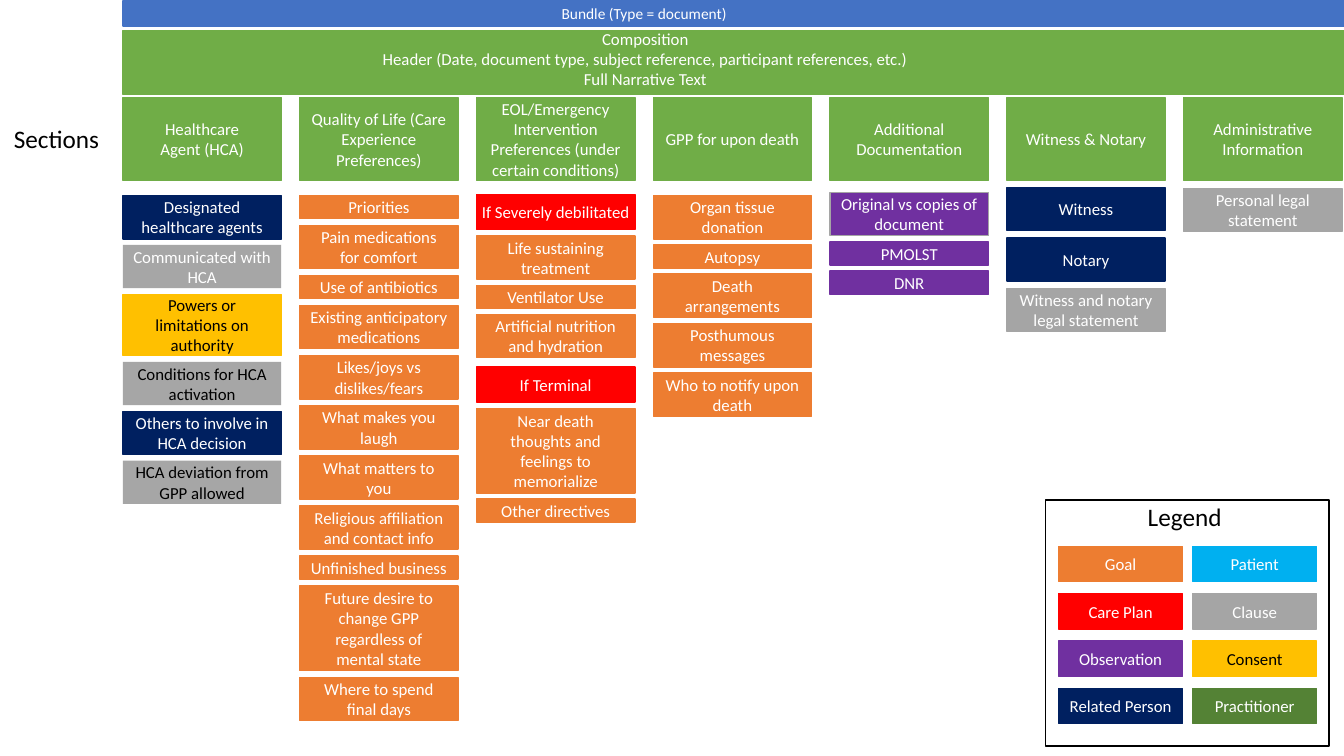
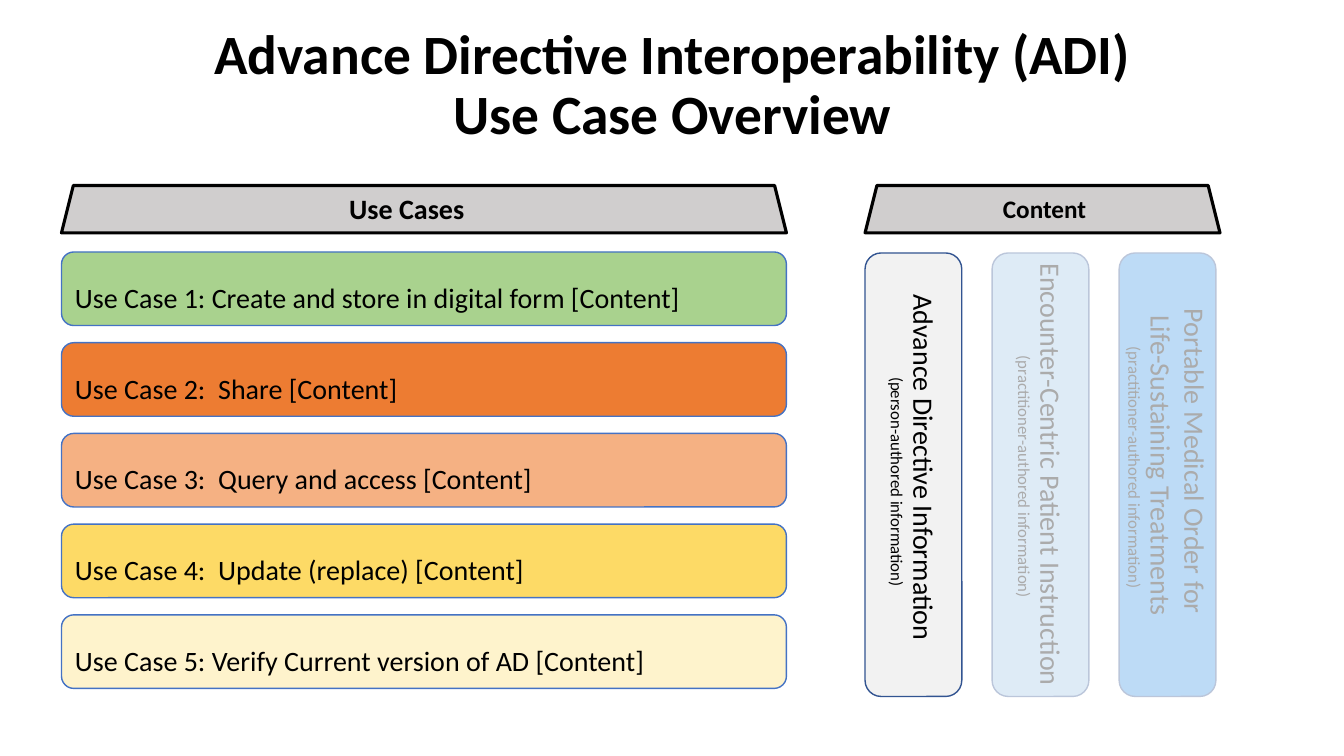
"""Build two slides on advance directives: a document map and a use case overview."""
from lxml import etree
from pptx import Presentation
from pptx.dml.color import RGBColor
from pptx.enum.shapes import MSO_SHAPE
from pptx.enum.text import MSO_ANCHOR, PP_ALIGN
from pptx.oxml.ns import qn
from pptx.util import Inches, Pt

RECT = MSO_SHAPE.RECTANGLE
ROUND = MSO_SHAPE.ROUNDED_RECTANGLE
TRAP = MSO_SHAPE.TRAPEZOID
MID = MSO_ANCHOR.MIDDLE
LEFT, CENTER = PP_ALIGN.LEFT, PP_ALIGN.CENTER

CELL = Inches(1)
COLS, ROWS = 13.33, 7.5


class Theme:
    font = "Calibri"
    small, text, label, body, title = 11, 12, 18, 20, 39.6
    white, black = "FFFFFF", "000000"
    blue, green, edge = "4472C4", "70AD47", "325491"
    band = "D0CECE"
    kinds = {
        "goal": ("ED7D31", "ED7D31", white),
        "plan": ("FF0000", "FF0000", white),
        "seen": ("7030A0", "7030A0", white),
        "copy": ("7030A0", "A5A5A5", white),
        "kin": ("002060", "002060", white),
        "patient": ("00B0F0", "00B0F0", white),
        "clause": ("A5A5A5", "A5A5A5", white),
        "dim": ("A6A6A6", None, white),
        "term": ("A6A6A6", None, black),
        "consent": ("FFC000", "FFC000", black),
        "doctor": ("548235", "548235", white),
        "head": (green, green, white),
    }


def write(shape, text, size=Theme.text, last=None, ink=Theme.black, bold=False,
          align=CENTER, space=None, wrap=True, pad=0.1):
    """Fill a shape with text, one paragraph a line; last sets the final line's size."""
    frame = shape.text_frame
    frame.word_wrap = wrap
    frame.vertical_anchor = MID
    frame.margin_left = frame.margin_right = int(pad * CELL)
    frame.text = text
    for para in frame.paragraphs:
        para.alignment = align
        para.line_spacing = space
        para.font.name = Theme.font
        para.font.size = Pt(size)
        para.font.bold = bold
        para.font.color.rgb = RGBColor.from_string(ink)
    if last:
        para.font.size = Pt(last)
        para.alignment = CENTER


def place(shapes, form, at, fill=None, line=None, width=1):
    """Add a shape, or a text box if form is None, at left, top, width, height in cells."""
    spot = [int(n * CELL) for n in at]
    if form is None:
        return shapes.add_textbox(*spot)
    shape = shapes.add_shape(form, *spot)
    shape.shadow.inherit = False
    if fill:
        shape.fill.solid()
        shape.fill.fore_color.rgb = RGBColor.from_string(fill)
    else:
        shape.fill.background()
    if line:
        shape.line.color.rgb = RGBColor.from_string(line)
        shape.line.width = Pt(width)
    else:
        shape.line.fill.background()
    return shape


deck = Presentation()
deck.slide_width, deck.slide_height = int(COLS * CELL), int(ROWS * CELL)

parts = deck.slides.add_slide(deck.slide_layouts[6]).shapes
start, wide = 1.22, 1.57
pitch = (11.74 - start) / 6
tall = {1: 0.23, 2: 0.43, 3: 0.61, 4: 0.84}

place(parts, RECT, (start, 0.01, COLS - start, 0.25), Theme.blue, Theme.blue)
write(place(parts, None, (5.46, 0, 1.86, 0.27)), "Bundle (Type = document)",
      size=Theme.small, ink=Theme.white, wrap=False)
place(parts, RECT, (start, 0.3, COLS - start, 0.64), Theme.green, Theme.green)
write(place(parts, None, (3.67, 0.23, 5.46, 0.71)),
      "Composition\n"
      "Header (Date, document type, subject reference, participant references, etc.)\n"
      "Full Narrative Text", ink=Theme.white, wrap=False)
write(place(parts, None, (0.03, 1.17, 1.06, 0.4)), "Sections",
      size=Theme.label, wrap=False)

sections = [
    ("Healthcare\nAgent (HCA)", 1.94, 0.06, [
        ("kin", 2, "Designated healthcare agents"),
        ("dim", 2, "Communicated with HCA"),
        ("consent", 3, "Powers or limitations on authority"),
        ("term", 2, "Conditions for HCA activation"),
        ("kin", 2, "Others to involve in HCA decision"),
        ("term", 2, "HCA deviation from GPP allowed")]),
    ("Quality of Life (Care Experience Preferences)", 1.94, 0.067, [
        ("goal", 1, "Priorities"),
        ("goal", 2, "Pain medications for comfort"),
        ("goal", 1, "Use of antibiotics"),
        ("goal", 2, "Existing anticipatory medications"),
        ("goal", 2, "Likes/joys vs dislikes/fears"),
        ("goal", 2, "What makes you laugh"),
        ("goal", 2, "What matters to you"),
        ("goal", 2, "Religious affiliation and contact info"),
        ("goal", 1, "Unfinished business"),
        ("goal", 4, "Future desire to change GPP regardless of mental state"),
        ("goal", 2, "Where to spend final days")]),
    ("EOL/Emergency Intervention Preferences (under certain conditions)", 1.9, 0.06, [
        ("plan", 1, "If Severely debilitated"),
        ("goal", 2, "Life sustaining treatment"),
        ("goal", 1, "Ventilator Use"),
        ("goal", 2, "Artificial nutrition and hydration"),
        ("plan", 1, "If Terminal"),
        ("goal", 4, "Near death thoughts and feelings to memorialize"),
        ("goal", 1, "Other directives")]),
    ("GPP for upon death", 1.94, 0.06, [
        ("goal", 2, "Organ tissue donation"),
        ("goal", 1, "Autopsy"),
        ("goal", 2, "Death arrangements"),
        ("goal", 2, "Posthumous messages"),
        ("goal", 2, "Who to notify upon death")]),
    ("Additional Documentation", 1.91, 0.06, [
        ("copy", 2, "Original vs copies of document"),
        ("seen", 1, "PMOLST"),
        ("seen", 1, "DNR")]),
    ("Witness & Notary", 1.86, 0.07, [
        ("kin", 2, "Witness"),
        ("kin", 2, "Notary"),
        ("clause", 2, "Witness and notary legal statement")]),
    ("Administrative Information", 1.87, 0.06, [
        ("clause", 2, "Personal legal statement")]),
]
for i, (head, top, gap, items) in enumerate(sections):
    left = start + i * pitch
    fill, line, ink = Theme.kinds["head"]
    write(place(parts, RECT, (left, 0.97, wide, 0.82), fill, line), head, ink=ink)
    for kind, rows, text in items:
        fill, line, ink = Theme.kinds[kind]
        plan = kind == "plan"
        high = 0.35 if plan else tall[rows]
        top += 0.03 if plan else 0
        write(place(parts, RECT, (left, top, wide, high), fill, line), text,
              ink=ink, pad=0 if plan else 0.1)
        top += high + gap

legend = parts.add_group_shape().shapes
place(legend, RECT, (10.37, 4.96, 2.81, 2.44), line=Theme.black)
write(place(legend, None, (11.28, 4.92, 0.94, 0.4)), "Legend",
      size=Theme.label, wrap=False)
keys = [("goal", "Goal"), ("patient", "Patient"),
        ("plan", "Care Plan"), ("clause", "Clause"),
        ("seen", "Observation"), ("consent", "Consent"),
        ("kin", "Related Person"), ("doctor", "Practitioner")]
for i, (kind, text) in enumerate(keys):
    row, col = divmod(i, 2)
    fill, line, ink = Theme.kinds[kind]
    key = place(legend, RECT, (10.5 + col * 1.33, 5.42 + row * 0.47, 1.23, 0.35),
                fill, line)
    write(key, text, ink=ink)

parts = deck.slides.add_slide(deck.slide_layouts[5]).shapes
title = parts.title
title.left, title.top, title.width, title.height = [
    int(n * CELL) for n in (0.47, 0.26, 12.4, 1.2)]
write(title, "Advance Directive Interoperability (ADI)\vUse Case Overview",
      size=Theme.title, bold=True, space=0.9)

bands = [("Use Cases", Theme.body, 0.61, 7.19, 2.95, 2.17),
         ("Content", Theme.label, 8.58, 3.52, 9.4, 1.92)]
for text, size, left, span, inset, room in bands:
    place(parts, TRAP, (left, 1.84, span, 0.47), Theme.band, Theme.black, 2.25)
    write(place(parts, None, (inset, 1.86, room, 0.42)), text, size=size, bold=True)

cases = [("A9D28E", "Use Case 1: Create and store in digital form [Content]"),
         ("ED7C32", "Use Case 2:  Share [Content]"),
         ("F5B183", "Use Case 3:  Query and access [Content]"),
         ("FDDA66", "Use Case 4:  Update (replace) [Content]"),
         ("FEF3CC", "Use Case 5: Verify Current version of AD [Content]")]
for i, (fill, text) in enumerate(cases):
    case = place(parts, ROUND, (0.61, 2.5 + i * 0.9, 7.19, 0.73), fill, Theme.blue)
    write(case, text, size=Theme.body, align=LEFT, space=1.5)

panels = [
    ("F2F2F2", 3.91, 0.64, 4.78,
     "Advance Directive Information\n(person-authored information)"),
    ("9DC3E6", 4.43, 0.64, 4.73,
     "Encounter-Centric Patient Instruction\n(practitioner-authored information)"),
    ("3793E6", 3.35, 0.98, 4.64,
     "Portable Medical Order for\n Life-Sustaining Treatments\n"
     "(practitioner-authored information)"),
]
for i, (fill, span, deep, mid, text) in enumerate(panels):
    left = 8.58 + i * 1.26
    place(parts, ROUND, (left, 2.51, 0.96, 4.4), fill, Theme.edge)
    side = place(parts, None, (left + 0.49 - span / 2, mid - deep / 2, span, deep))
    side.rotation = 90
    write(side, text, size=Theme.body, last=Theme.text, align=LEFT)

veil = place(parts, RECT, (9.76, 2.38, 2.34, 4.69), Theme.white)
tint = veil._element.spPr.find(".//" + qn("a:srgbClr"))
etree.SubElement(tint, qn("a:alpha"), val="67000")

deck.save("out.pptx")
